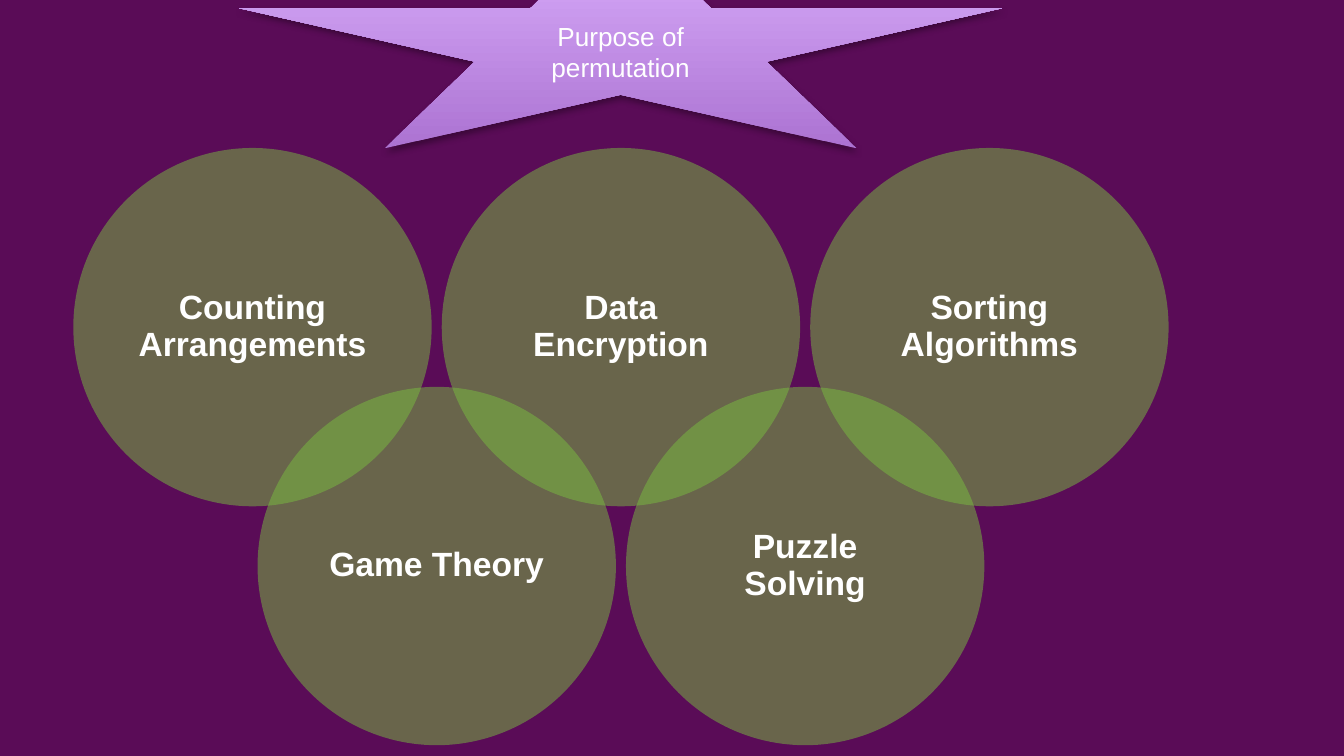
"""Build a slide showing five purposes of permutation as interlocking circles."""
from lxml import etree
from pptx import Presentation
from pptx.dml.color import RGBColor
from pptx.enum.shapes import MSO_SHAPE
from pptx.enum.text import MSO_ANCHOR, PP_ALIGN
from pptx.oxml.ns import qn
from pptx.util import Pt

STAR, CIRCLE = MSO_SHAPE.STAR_5_POINT, MSO_SHAPE.OVAL
MIDDLE, CENTER = MSO_ANCHOR.MIDDLE, PP_ALIGN.CENTER

HEADING = "Purpose of permutation"
PURPOSES = [
    "Counting Arrangements",
    "Game Theory",
    "Data Encryption",
    "Puzzle Solving",
    "Sorting Algorithms",
]
COLORS = {
    "background": "5A0C57",
    "star_bottom": "AC73D2",
    "star_top": "DDB2FF",
    "circle": "79BE41",
    "text": "FFFFFF",
    "shadow": "000000",
}
FONT = "Arial"
SLIDE_WIDTH, SLIDE_HEIGHT = 720, 405
STAR_BOX = (128, -42, 409, 121.5)
LEFT, TOP, DIAMETER = 39.25, 79.25, 192
STEP, DROP = 98.7, 128
INSET = 5


def rgb(name):
    return RGBColor.from_string(COLORS[name])


def add_labelled_shape(slide, preset, box, label, size, bold):
    shape = slide.shapes.add_shape(preset, *map(Pt, box))
    shape.line.fill.background()
    shape.shadow.inherit = False
    frame = shape.text_frame
    frame.word_wrap = True
    frame.vertical_anchor = MIDDLE
    frame.text = label
    paragraph = frame.paragraphs[0]
    paragraph.alignment = CENTER
    font = paragraph.font
    font.name, font.size, font.bold = FONT, Pt(size), bold
    font.color.rgb = rgb("text")
    return shape


def add_alpha(color, percent):
    etree.SubElement(color, qn("a:alpha"), val=str(percent * 1000))


def add_star(slide):
    star = add_labelled_shape(slide, STAR, STAR_BOX, HEADING, 14, False)
    star.fill.gradient()
    star.fill.gradient_angle = 90
    for stop, name in zip(star.fill.gradient_stops, ("star_bottom", "star_top")):
        stop.color.rgb = rgb(name)
    effects = star.element.spPr.find(qn("a:effectLst"))
    shadow = etree.SubElement(
        effects, qn("a:outerShdw"), blurRad=str(Pt(3.15)), dist=str(Pt(1.8)),
        dir="5400000", rotWithShape="0")
    add_alpha(etree.SubElement(shadow, qn("a:srgbClr"), val=COLORS["shadow"]), 35)


def add_circle(slide, index, purpose):
    box = (LEFT + index * STEP, TOP + index % 2 * DROP, DIAMETER, DIAMETER)
    circle = add_labelled_shape(slide, CIRCLE, box, purpose, 18, True)
    circle.fill.solid()
    circle.fill.fore_color.rgb = rgb("circle")
    add_alpha(circle.element.spPr.find(qn("a:solidFill"))[0], 50)
    frame = circle.text_frame
    frame.margin_left = frame.margin_right = Pt(INSET)
    frame.margin_top = frame.margin_bottom = Pt(INSET)
    frame.paragraphs[0].line_spacing = 0.9


def main():
    presentation = Presentation()
    presentation.slide_width = Pt(SLIDE_WIDTH)
    presentation.slide_height = Pt(SLIDE_HEIGHT)
    slide = presentation.slides.add_slide(presentation.slide_layouts[6])
    slide.background.fill.solid()
    slide.background.fill.fore_color.rgb = rgb("background")
    add_star(slide)
    for index, purpose in enumerate(PURPOSES):
        add_circle(slide, index, purpose)
    presentation.save("out.pptx")


if __name__ == "__main__":
    main()
